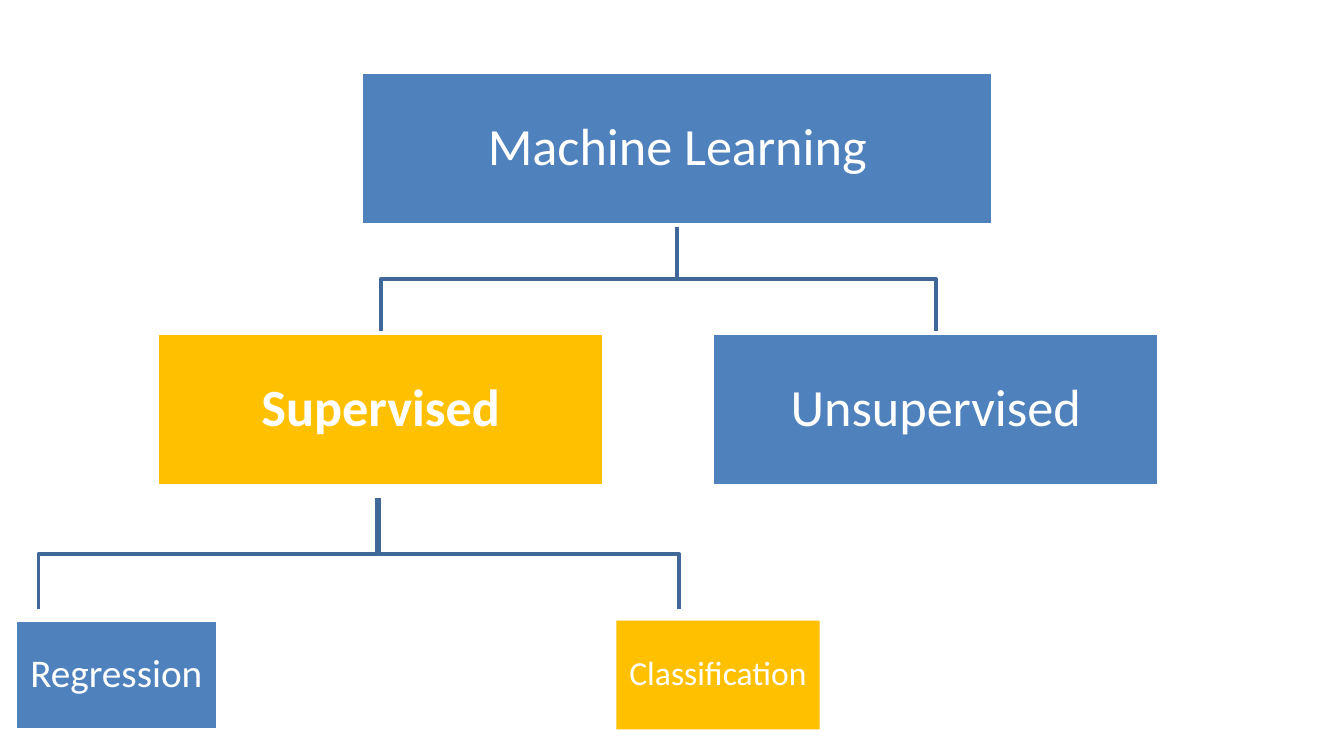
from pptx import Presentation
from pptx.dml.color import RGBColor
from pptx.enum.shapes import MSO_SHAPE
from pptx.enum.text import MSO_ANCHOR, PP_ALIGN
from pptx.util import Cm, Pt

BLUE = RGBColor(0x4F, 0x81, 0xBD)
DARK_BLUE = RGBColor(0x3F, 0x67, 0x97)
GOLD = RGBColor(0xFF, 0xC0, 0x00)
WHITE = RGBColor(0xFF, 0xFF, 0xFF)


def set_format(target, values):
    for name, value in values.items():
        setattr(target, name, value)


def add_node(page, box, text, fill, size, bold=False, outlined=True):
    """Place a filled, labelled rectangle in box (left, top, width, height in cm)."""
    node = page.shapes.add_shape(MSO_SHAPE.RECTANGLE, *map(Cm, box))
    node.shadow.inherit = False
    node.fill.solid()
    node.fill.fore_color.rgb = fill
    if outlined:
        node.line.color.rgb = WHITE
        node.line.width = Pt(2)
    else:
        node.line.fill.background()

    # Centred label
    frame = node.text_frame
    margins = {f"margin_{side}": Cm(0.06) for side in ("left", "top", "right", "bottom")}
    set_format(frame, {"word_wrap": True, "vertical_anchor": MSO_ANCHOR.MIDDLE, **margins})
    para = frame.paragraphs[0]
    set_format(para, {"alignment": PP_ALIGN.CENTER, "line_spacing": 0.9})
    span = para.add_run()
    span.text = text
    set_format(span.font, {"name": "Calibri", "size": Pt(size), "bold": bold})
    span.font.color.rgb = WHITE


def add_fork(page, top, bottom, branches):
    """Draw an elbow line for each (start, end) pair, turning halfway down."""
    middle = (top + bottom) / 2
    for start_x, end_x in branches:
        elbow = page.shapes.build_freeform(Cm(start_x), Cm(top))
        corners = [(start_x, middle), (end_x, middle), (end_x, bottom)]
        elbow.add_line_segments([(Cm(x), Cm(y)) for x, y in corners], close=False)
        branch = elbow.convert_to_shape()
        branch.shadow.inherit = False
        branch.fill.background()
        branch.line.color.rgb = DARK_BLUE
        branch.line.width = Pt(2)


def add_learning_types(page, left, top):
    """Upper tree: the root and its two kinds of learning."""
    height, child_width, child_step = 2.88, 8.45, 10.49
    root_left, root_width = left + 3.86, 11.94
    child_top = top + 4.93
    child_lefts = [left, left + child_step]
    root_middle = root_left + root_width / 2

    add_fork(page, top + height, child_top,
             [(root_middle, x + child_width / 2) for x in reversed(child_lefts)])
    add_node(page, (root_left, top, root_width, height), "Machine Learning", BLUE, 28)
    children = [("Supervised", GOLD, True), ("Unsupervised", BLUE, False)]
    for x, (text, fill, bold) in zip(child_lefts, children):
        add_node(page, (x, child_top, child_width, height), text, fill, 28, bold)


def add_supervised_types(page, left, top):
    """Lower tree: the two kinds of supervised learning."""
    width, height, step = 3.84, 2.06, 11.37
    node_top = top + 2.31

    add_fork(page, top, top + 2.1, [(left + 6.89, left + 12.55), (left + 6.85, left + 0.45)])
    add_node(page, (left, node_top, width, height), "Regression", BLUE, 21)
    add_node(page, (left + step, node_top, width, height), "Classification", GOLD, 18,
             outlined=False)


def main():
    deck = Presentation()
    set_format(deck, {"slide_width": Cm(25.4), "slide_height": Cm(14.29)})
    page = deck.slides.add_slide(deck.slide_layouts[6])
    add_learning_types(page, 2.97, 1.37)
    add_supervised_types(page, 0.28, 9.42)
    deck.save("out.pptx")


if __name__ == "__main__":
    main()
